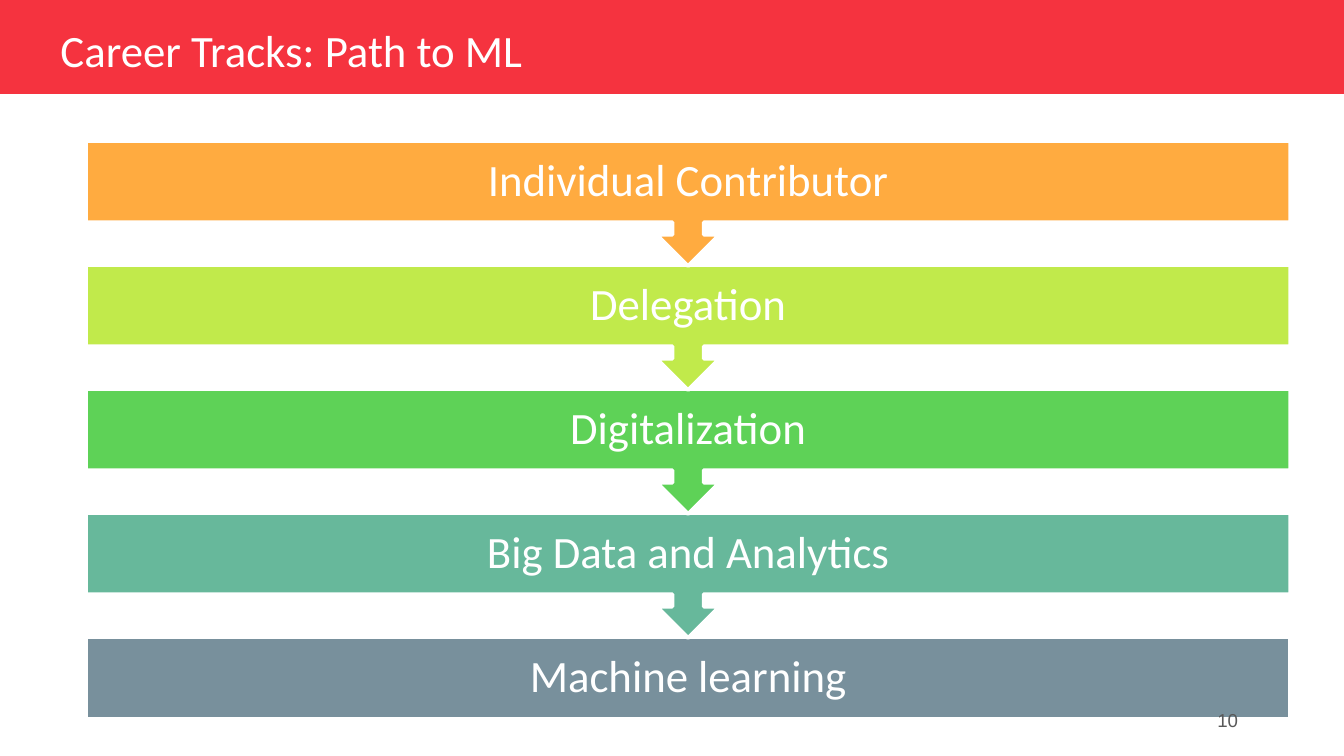
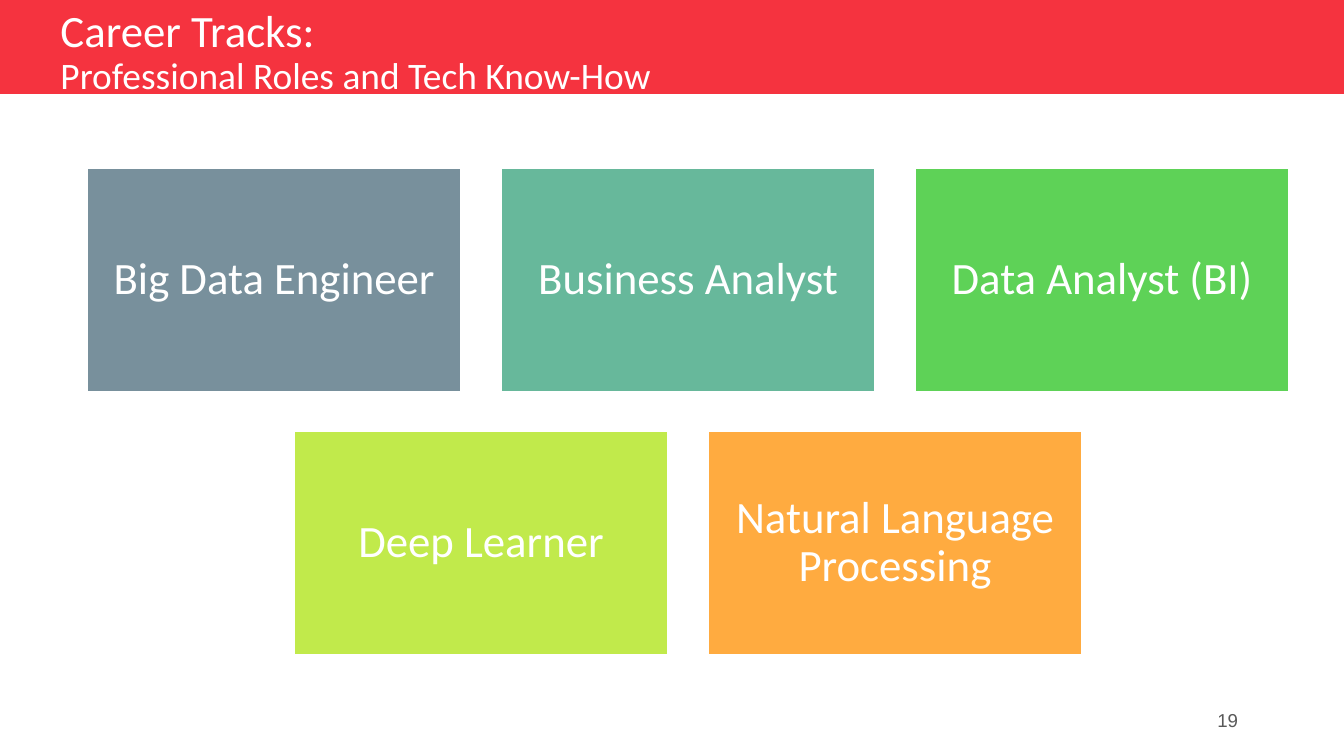
from pptx import Presentation
from pptx.dml.color import RGBColor
from pptx.enum.shapes import MSO_SHAPE
from pptx.enum.text import MSO_ANCHOR, MSO_AUTO_SIZE, PP_ALIGN
from pptx.util import Inches, Pt

RECTANGLE = MSO_SHAPE.RECTANGLE
ARROW_CALLOUT = MSO_SHAPE.DOWN_ARROW_CALLOUT
MIDDLE = MSO_ANCHOR.MIDDLE
NO_AUTOFIT = MSO_AUTO_SIZE.NONE
LEFT, CENTER, RIGHT = PP_ALIGN.LEFT, PP_ALIGN.CENTER, PP_ALIGN.RIGHT

# Content: title lines are (text, size); items are (text, fill)
RED, WHITE, GRAY = "F5333F", "FFFFFF", "595959"
SLATE, TEAL, GREEN, LIME, ORANGE = "78909C", "67B89B", "5ED257", "C1EA4B", "FFAB40"

PATH_TITLE = [("Career Tracks: Path to ML", 24)]
PATH_STEPS = [
    ("Individual Contributor", ORANGE),
    ("Delegation", LIME),
    ("Digitalization", GREEN),
    ("Big Data and Analytics", TEAL),
    ("Machine learning", SLATE),
]
ROLES_TITLE = [("Career Tracks: ", 24), ("Professional Roles and Tech Know-How", 20)]
ROLE_ROWS = [
    [("Big Data Engineer", SLATE), ("Business Analyst", TEAL), ("Data Analyst (BI)", GREEN)],
    [("Deep Learner", LIME), ("Natural Language Processing", ORANGE)],
]

# Layout, in inches; the slide is 16:9
SLIDE_WIDTH = 10
SLIDE_HEIGHT = SLIDE_WIDTH * 9 / 16
BAND_HEIGHT = 0.7
CONTENT_LEFT, CONTENT_WIDTH = 0.64, 8.96
STEP_TOP, LAST_STEP_TOP = 1.05, 4.74
CALLOUT_HEIGHT, LAST_STEP_HEIGHT = 0.93, 0.61
ROLE_TOP, ROLE_WIDTH, ROLE_HEIGHT, ROLE_GAP = 1.24, 2.8, 1.68, 0.28


def color(value):
    return RGBColor.from_string(value)


def inches(*values):
    return [Inches(value) for value in values]


def format_frame(frame, inset_x=0.1, inset_y=0.05):
    values = {
        "word_wrap": True,
        "auto_size": NO_AUTOFIT,
        "vertical_anchor": MIDDLE,
        "margin_left": Inches(inset_x),
        "margin_right": Inches(inset_x),
        "margin_top": Inches(inset_y),
        "margin_bottom": Inches(inset_y),
    }
    for name, value in values.items():
        setattr(frame, name, value)


def write(frame, lines, align, font="Calibri", text_color=WHITE, spacing=0.9):
    """Write (text, size) lines into one paragraph, with line breaks between."""
    para = frame.paragraphs[0]
    para.alignment, para.line_spacing = align, spacing
    for index, (text, size) in enumerate(lines):
        if index:
            para.add_line_break()
        span = para.add_run()
        span.text = text
        for name, value in {"name": font, "size": Pt(size), "bold": False}.items():
            setattr(span.font, name, value)
        span.font.color.rgb = color(text_color)


def add_block(page, kind, place, fill):
    box = page.shapes.add_shape(kind, *inches(*place))
    box.shadow.inherit = False
    box.fill.solid()
    box.fill.fore_color.rgb = color(fill)
    return box


def add_label_block(page, kind, place, text, fill):
    box = add_block(page, kind, place, fill)
    box.line.color.rgb = color(WHITE)
    box.line.width = Pt(2)
    format_frame(box.text_frame, 0.1, 0.1)
    write(box.text_frame, [(text, 24)], CENTER)


def add_page(deck, title_lines):
    page = deck.slides.add_slide(deck.slide_layouts[5])
    title = page.shapes.title
    title.left, title.top, title.width, title.height = inches(0.35, 0.08, 7.88, 0.63)
    format_frame(title.text_frame)
    write(title.text_frame, title_lines, LEFT)
    return page


def add_page_number(page, number):
    box = page.shapes.add_textbox(*inches(7.06, 5.21, 2.25, 0.3))
    format_frame(box.text_frame)
    write(box.text_frame, [(number, 10)], RIGHT, "Arial", GRAY, 1.0)


def move_band_to_layout(page):
    """Draw the red band once, behind everything on the shared layout."""
    band = add_block(page, RECTANGLE, (0, 0, SLIDE_WIDTH, BAND_HEIGHT), RED)
    band.line.fill.background()
    page.slide_layout.shapes._spTree.insert(2, band._element)


def add_steps(page):
    last = len(PATH_STEPS) - 1
    pitch = (LAST_STEP_TOP - STEP_TOP) / last
    # Bottom step first, so each arrow lies over the step below it
    for index in range(last, -1, -1):
        text, fill = PATH_STEPS[index]
        kind, height = ARROW_CALLOUT, CALLOUT_HEIGHT
        if index == last:
            kind, height = RECTANGLE, LAST_STEP_HEIGHT
        place = (CONTENT_LEFT, STEP_TOP + index * pitch, CONTENT_WIDTH, height)
        add_label_block(page, kind, place, text, fill)


def add_roles(page):
    for row, roles in enumerate(ROLE_ROWS):
        row_width = len(roles) * (ROLE_WIDTH + ROLE_GAP) - ROLE_GAP
        left = CONTENT_LEFT + (CONTENT_WIDTH - row_width) / 2
        top = ROLE_TOP + row * (ROLE_HEIGHT + ROLE_GAP)
        for column, (text, fill) in enumerate(roles):
            place = (left + column * (ROLE_WIDTH + ROLE_GAP), top, ROLE_WIDTH, ROLE_HEIGHT)
            add_label_block(page, RECTANGLE, place, text, fill)


def main():
    deck = Presentation()
    deck.slide_width, deck.slide_height = inches(SLIDE_WIDTH, SLIDE_HEIGHT)

    # Path to ML
    path_page = add_page(deck, PATH_TITLE)
    move_band_to_layout(path_page)
    add_steps(path_page)
    add_page_number(path_page, "10")

    # Professional roles
    roles_page = add_page(deck, ROLES_TITLE)
    add_roles(roles_page)
    add_page_number(roles_page, "19")

    deck.save("out.pptx")


if __name__ == "__main__":
    main()
